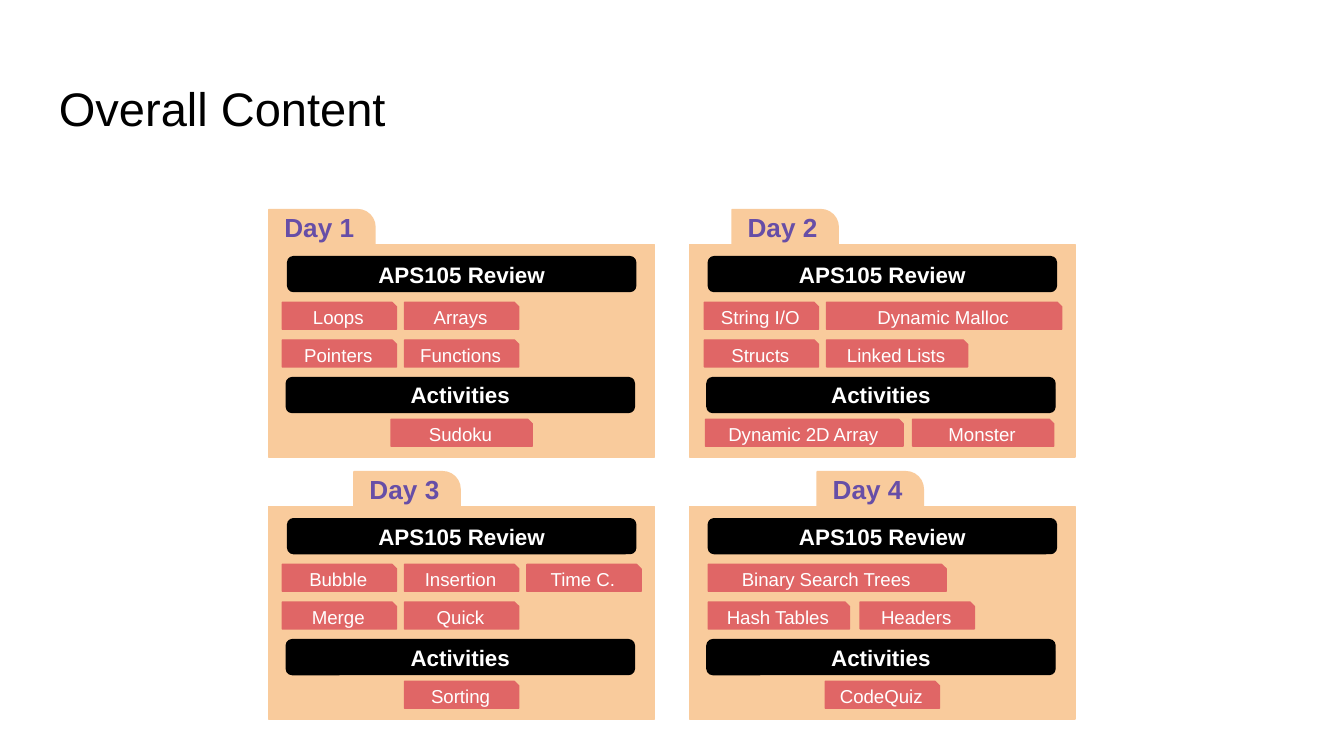
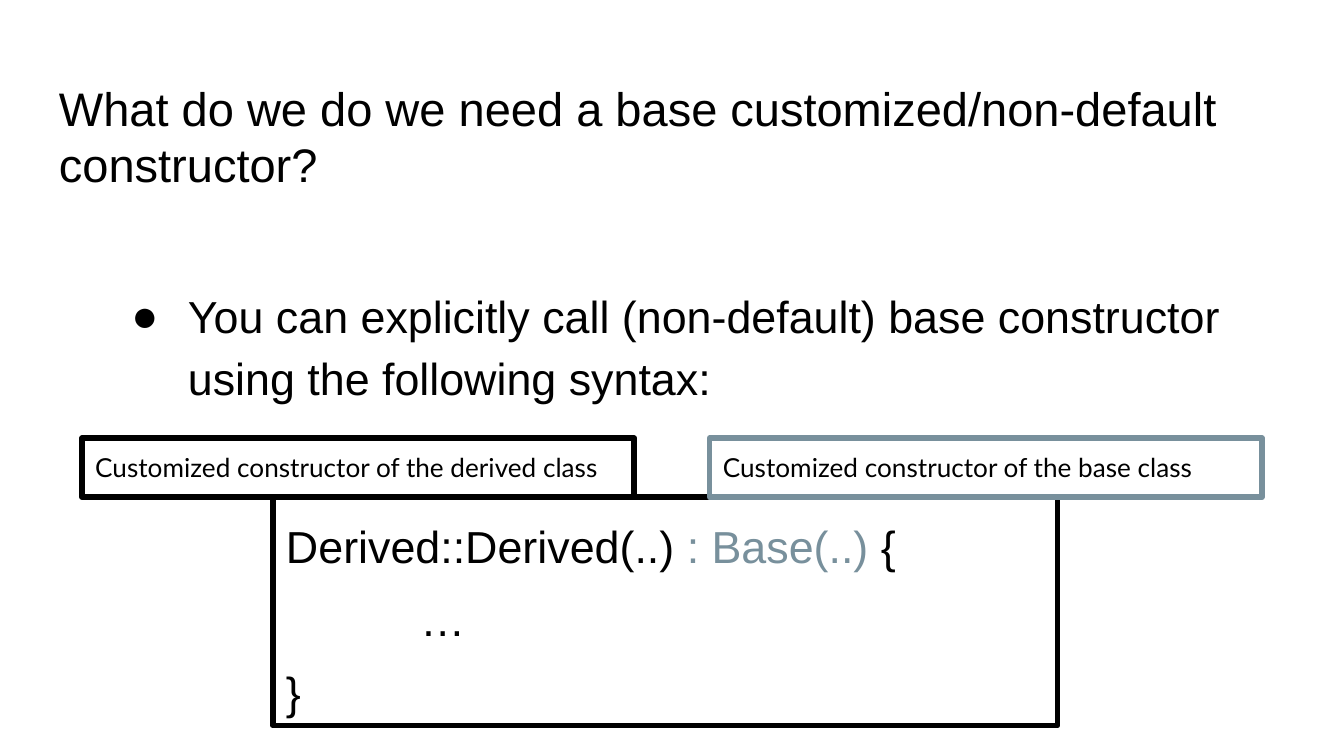
import pptx
import pptx.dml.color
import pptx.enum.shapes
import pptx.enum.text
import pptx.oxml.ns
import pptx.util
from lxml import etree

Inches = pptx.util.Inches
Pt = pptx.util.Pt
RGBColor = pptx.dml.color.RGBColor
SHAPE = pptx.enum.shapes.MSO_SHAPE
ALIGN = pptx.enum.text.PP_ALIGN
ANCHOR = pptx.enum.text.MSO_ANCHOR
AUTO_SIZE = pptx.enum.text.MSO_AUTO_SIZE
qn = pptx.oxml.ns.qn

# Shared style
BLACK = RGBColor(0x00, 0x00, 0x00)
WHITE = RGBColor(0xFF, 0xFF, 0xFF)
PEACH = RGBColor(0xF9, 0xCB, 0x9C)
CORAL = RGBColor(0xE0, 0x66, 0x66)
PURPLE = RGBColor(0x67, 0x4E, 0xA7)
SLATE = RGBColor(0x78, 0x90, 0x9C)
BODY_FONT = "Arial"
LABEL_FONT = "Lato"

# Day card layout, measured from the card's top left corner
CARD_LEFTS = (2, 5.13)
CARD_TOPS = (1.82, 3.77)
CARD_SIZE = (2.87, 1.58)
TAB_SIZE = (0.79, 0.26)
LAST_TAB_OFFSET = 0.95
BAR_SIZE = (2.59, 0.26)
BARS = (("APS105 Review", 0.14, 0.09), ("Activities", 0.13, 0.99))
TOPIC_TOPS = (0.43, 0.71, 1.3)
TOPIC_HEIGHT = 0.2
SHORT, MEDIUM = 0.85, 1.05

# Each day has two review rows and one activity row: (offset, gap, topics)
DAYS = (
    ((0.1, 0.06, (("Loops", SHORT), ("Arrays", SHORT))),
     (0.1, 0.06, (("Pointers", SHORT), ("Functions", SHORT))),
     (0.91, 0, (("Sudoku", MEDIUM),))),
    ((0.11, 0.06, (("String I/O", SHORT), ("Dynamic Malloc", 1.75))),
     (0.11, 0.06, (("Structs", SHORT), ("Linked Lists", MEDIUM))),
     (0.12, 0.07, (("Dynamic 2D Array", 1.47), ("Monster", MEDIUM)))),
    ((0.1, 0.06, (("Bubble", SHORT), ("Insertion", SHORT), ("Time C.", SHORT))),
     (0.1, 0.06, (("Merge", SHORT), ("Quick", SHORT))),
     (1.01, 0, (("Sorting", SHORT),))),
    ((0.14, 0, (("Binary Search Trees", 1.77),)),
     (0.14, 0.08, (("Hash Tables", MEDIUM), ("Headers", SHORT))),
     (1.01, 0, (("CodeQuiz", SHORT),))),
)


def set_font(font, size, color, bold=False, name=BODY_FONT):
    font.size = Pt(size)
    font.name = name
    font.bold = bold
    font.color.rgb = color


def set_frame(frame, anchor=ANCHOR.TOP):
    frame.word_wrap = True
    frame.vertical_anchor = anchor
    frame.margin_left = frame.margin_right = Inches(0.1)
    frame.margin_top = frame.margin_bottom = Inches(0.1)


def add_text(slide, text, left, top, width, height):
    box = slide.shapes.add_textbox(Inches(left), Inches(top), Inches(width), Inches(height))
    set_frame(box.text_frame)
    paragraph = box.text_frame.paragraphs[0]
    paragraph.text = text
    return paragraph


def add_title(slide, text):
    paragraph = add_text(slide, text, 0.34, 0.49, 9.32, 0.63)
    set_font(paragraph.font, 25.2, BLACK)


def indent_paragraph(paragraph, margin, first_line):
    properties = paragraph._p.get_or_add_pPr()
    properties.set("marL", str(Inches(margin)))
    properties.set("indent", str(Inches(first_line)))
    return properties


def add_bullet(slide, text):
    paragraph = add_text(slide, text, 0.8, 1.99, 8.41, 1.08)
    paragraph.line_spacing = 1.15
    properties = indent_paragraph(paragraph, 0.5, -0.42)
    bullet_color = etree.SubElement(properties, qn("a:buClr"))
    etree.SubElement(bullet_color, qn("a:srgbClr"), val=str(BLACK))
    etree.SubElement(properties, qn("a:buFont"), typeface=BODY_FONT)
    etree.SubElement(properties, qn("a:buChar"), char="●")
    set_font(paragraph.font, 24, BLACK)


def add_block(shapes, kind, left, top, width, height, fill, corner=None):
    block = shapes.add_shape(kind, Inches(left), Inches(top), Inches(width), Inches(height))
    block.shadow.inherit = False
    block.fill.solid()
    block.fill.fore_color.rgb = fill
    block.line.color.rgb = fill
    block.line.width = Pt(0.75)
    if corner is not None:
        block.adjustments[0] = corner
    return block


def label_block(block, text, size, color, bold=False):
    set_frame(block.text_frame, ANCHOR.MIDDLE)
    paragraph = block.text_frame.paragraphs[0]
    paragraph.text = text
    paragraph.alignment = ALIGN.CENTER
    set_font(paragraph.font, size, color, bold)


def add_day(slide, index, rows):
    left, top = CARD_LEFTS[index % 2], CARD_TOPS[index // 2]
    card = slide.shapes.add_group_shape().shapes
    add_block(card, SHAPE.RECTANGLE, left, top, *CARD_SIZE, PEACH)

    # Folder tab moves right from day to day
    tab_left = left + LAST_TAB_OFFSET * index / (len(DAYS) - 1)
    tab = add_block(card, SHAPE.ROUND_1_RECTANGLE, tab_left, top - TAB_SIZE[1],
                    *TAB_SIZE, PEACH, 0.5)
    label_block(tab, f"Day {index + 1}", 14, PURPLE, True)

    for heading, offset, drop in BARS:
        bar = add_block(card, SHAPE.ROUNDED_RECTANGLE, left + offset, top + drop,
                        *BAR_SIZE, BLACK, 0.167)
        label_block(bar, heading, 12, WHITE, True)

    # Topics flow from left to right in each row
    for drop, (offset, gap, topics) in zip(TOPIC_TOPS, rows):
        topic_left = left + offset
        for name, width in topics:
            topic = add_block(card, SHAPE.SNIP_1_RECTANGLE, topic_left, top + drop,
                              width, TOPIC_HEIGHT, CORAL, 0.167)
            label_block(topic, name, 10, WHITE)
            topic_left += width + gap


def add_outlined_box(slide, left, top, width, height, color):
    box = slide.shapes.add_shape(SHAPE.RECTANGLE, Inches(left), Inches(top),
                                 Inches(width), Inches(height))
    box.shadow.inherit = False
    box.fill.background()
    box.line.color.rgb = color
    box.line.width = Pt(3)
    etree.SubElement(box.line._get_or_add_ln(), qn("a:round"))
    set_frame(box.text_frame)
    box.text_frame.auto_size = AUTO_SIZE.SHAPE_TO_FIT_TEXT
    return box.text_frame


def add_constructor_label(slide, text, left, color):
    paragraph = add_outlined_box(slide, left, 3.26, 4.11, 0.44, color).paragraphs[0]
    paragraph.text = text
    paragraph.alignment = ALIGN.LEFT
    set_font(paragraph.font, 14, BLACK, name=LABEL_FONT)


def add_code(slide):
    frame = add_outlined_box(slide, 2.03, 3.7, 5.84, 1.7, BLACK)
    signature = frame.paragraphs[0]
    for text, color in (("Derived::Derived(..) ", BLACK), (": Base(..)", SLATE), (" {", BLACK)):
        run = signature.add_run()
        run.text = text
        run.font.color.rgb = color
    body, closing = frame.add_paragraph(), frame.add_paragraph()
    body.text, closing.text = "…", "}"
    indent_paragraph(body, 0.5, 0.5)
    for line in frame.paragraphs:
        line.alignment = ALIGN.LEFT
        line.line_spacing = 1.15
        set_font(line.font, 24, BLACK)
    for line in (body, closing):
        line.space_before = Pt(6)


def main():
    # Widescreen, 16:9
    deck = pptx.Presentation()
    deck.slide_width = Inches(10)
    deck.slide_height = deck.slide_width * 9 // 16
    blank = deck.slide_layouts[6]

    # Course overview
    overview = deck.slides.add_slide(blank)
    add_title(overview, "Overall Content")
    for index, rows in enumerate(DAYS):
        add_day(overview, index, rows)

    # Base constructor syntax
    syntax = deck.slides.add_slide(blank)
    add_title(syntax, "What do we do we need a base customized/non-default constructor?")
    add_bullet(syntax, "You can explicitly call (non-default) base constructor "
                       "using the following syntax:")
    add_code(syntax)
    add_constructor_label(syntax, "Customized constructor of the derived class", 0.61, BLACK)
    add_constructor_label(syntax, "Customized constructor of the base class", 5.28, SLATE)

    deck.save("out.pptx")


if __name__ == "__main__":
    main()
